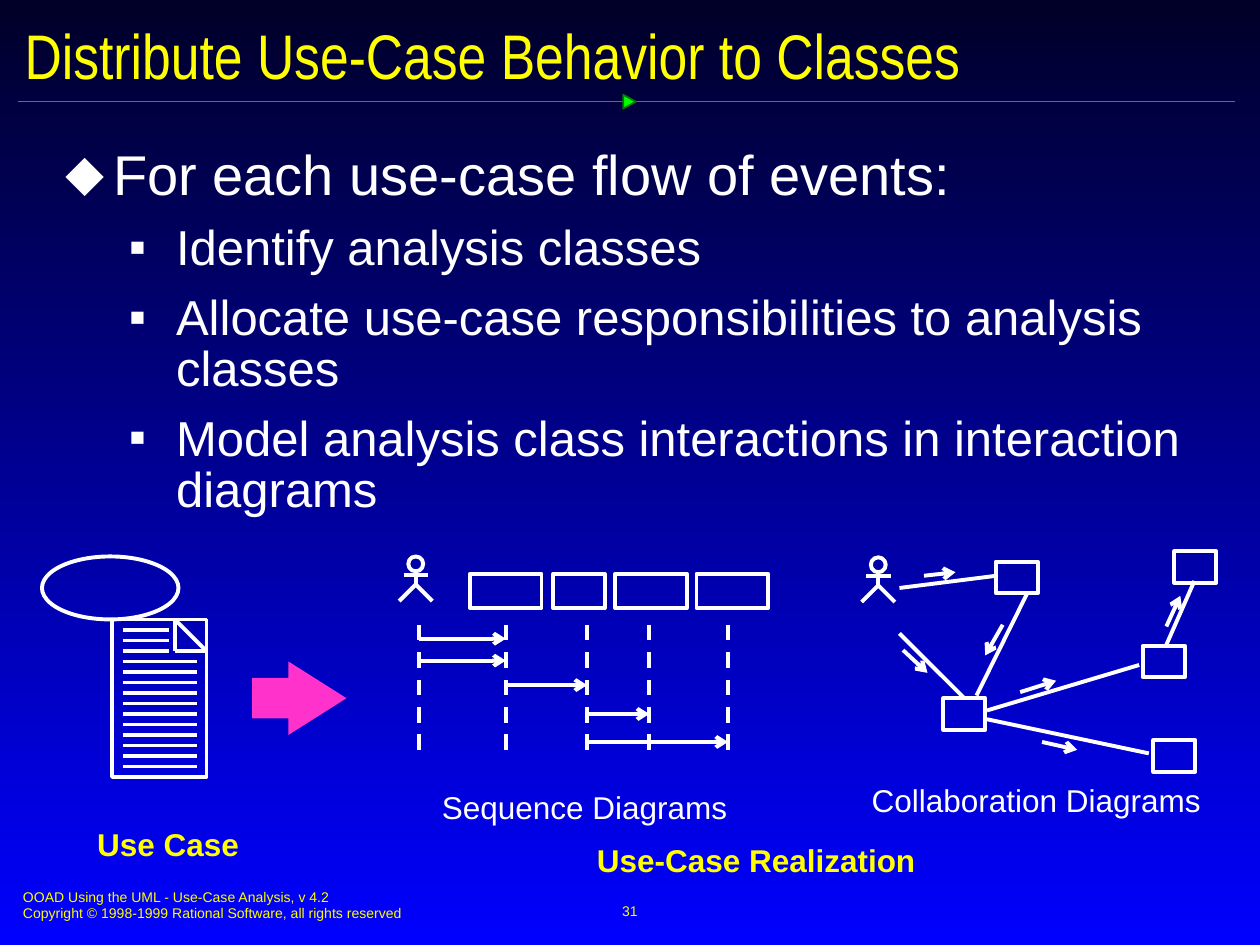
from dataclasses import dataclass

from lxml import etree
from pptx import Presentation
from pptx.dml.color import RGBColor
from pptx.enum import dml, shapes, text
from pptx.oxml.ns import qn
from pptx.util import Pt


@dataclass(frozen=True)
class Theme:
    white: str = "FFFFFF"
    yellow: str = "FFFF00"
    rule: str = "FF01FF"
    marker: str = "00FF00"
    marker_edge: str = "037C03"
    arrow: str = "FF33CC"
    sky_top: str = "000028"
    sky_bottom: str = "0000FF"
    font: str = "Arial"
    title_font: str = "Arial Narrow"
    title: int = 36
    point: int = 32
    subpoint: int = 28
    label: int = 18
    footer: int = 8
    stroke: float = 2.25


THEME = Theme()
FORM = shapes.MSO_SHAPE
ALIGN = text.PP_ALIGN


def rgb(color):
    return RGBColor.from_string(color)


def paint_background(slide):
    fill = slide.background.fill
    fill.gradient()
    fill.gradient_angle = 270  # counter-clockwise: dark at the top
    for stop, color in zip(fill.gradient_stops, (THEME.sky_top, THEME.sky_bottom)):
        stop.color.rgb = rgb(color)
    fill.gradient_stops[0].position = 0
    fill.gradient_stops[1].position = 1


def style_shape(item, fill=None, edge=THEME.white, stroke=THEME.stroke):
    item.shadow.inherit = False
    if fill:
        item.fill.solid()
        item.fill.fore_color.rgb = rgb(fill)
    else:
        item.fill.background()
    if edge:
        item.line.color.rgb = rgb(edge)
        item.line.width = Pt(stroke)
    else:
        item.line.fill.background()


def add_form(slide, form, left, top, width, height, **style):
    item = slide.shapes.add_shape(form, Pt(left), Pt(top), Pt(width), Pt(height))
    style_shape(item, **style)
    return item


def add_line(slide, x1, y1, x2, y2, color=THEME.white, stroke=THEME.stroke,
             dashed=False, arrow=False):
    line = slide.shapes.add_connector(
        shapes.MSO_CONNECTOR.STRAIGHT, Pt(x1), Pt(y1), Pt(x2), Pt(y2))
    line.line.color.rgb = rgb(color)
    line.line.width = Pt(stroke)
    if dashed:
        line.line.dash_style = dml.MSO_LINE.DASH
    if arrow:
        etree.SubElement(line.line._get_or_add_ln(), qn("a:tailEnd"), type="arrow")
    etree.SubElement(line._element.spPr, qn("a:effectLst"))


def add_run(paragraph, words, size, color, font=THEME.font, bold=False):
    run = paragraph.add_run()
    run.text = words
    run.font.name = font
    run.font.size = Pt(size)
    run.font.bold = bold
    run.font.color.rgb = rgb(color)


def add_frame(slide, left, top, width, height, inset=(7.2, 3.6), middle=False):
    box = slide.shapes.add_textbox(Pt(left), Pt(top), Pt(width), Pt(height))
    frame = box.text_frame
    frame.word_wrap = True
    frame.margin_left = frame.margin_right = Pt(inset[0])
    frame.margin_top = frame.margin_bottom = Pt(inset[1])
    if middle:
        frame.vertical_anchor = text.MSO_ANCHOR.MIDDLE
    return frame


def add_label(slide, place, lines, size, color, align=ALIGN.LEFT,
              middle=False, **style):
    frame = add_frame(slide, *place, middle=middle)
    for index, words in enumerate(lines):
        paragraph = frame.add_paragraph() if index else frame.paragraphs[0]
        paragraph.alignment = align
        add_run(paragraph, words, size, color, **style)


def add_bullet(paragraph, mark, margin, hanging):
    props = paragraph._p.get_or_add_pPr()
    props.set("marL", str(Pt(margin)))
    props.set("indent", str(-Pt(hanging)))
    tint = etree.SubElement(props, qn("a:buClr"))
    etree.SubElement(tint, qn("a:srgbClr"), val=THEME.white)
    etree.SubElement(props, qn("a:buFont"), typeface=THEME.font)
    etree.SubElement(props, qn("a:buChar"), char=mark)


def add_outline(slide, point, subpoints):
    frame = add_frame(slide, 29, 83, 669, 397, inset=(8.64, 4.32))
    heading = frame.paragraphs[0]
    add_bullet(heading, "⬥", 27, 27)
    heading.line_spacing = 0.8
    add_run(heading, point, THEME.point, THEME.white)
    for words in subpoints:
        paragraph = frame.add_paragraph()
        paragraph.level = 1
        add_bullet(paragraph, "▪", 63, 27)
        paragraph.line_spacing = 0.87
        paragraph.space_before = Pt(10.5)
        add_run(paragraph, words, THEME.subpoint, THEME.white)


def add_actor(slide, center, top):
    add_form(slide, FORM.OVAL, center - 4.25, top, 8.5, 8.5)
    add_line(slide, center, top + 8.5, center, top + 16)
    add_line(slide, center - 7, top + 10.5, center + 7, top + 10.5)
    pen = slide.shapes.build_freeform(Pt(center - 9.5), Pt(top + 25.5))
    pen.add_line_segments([(Pt(center), Pt(top + 16)),
                           (Pt(center + 9.5), Pt(top + 25.5))], close=False)
    style_shape(pen.convert_to_shape())


def add_use_case(slide):
    add_form(slide, FORM.OVAL, 24, 318, 78, 36)
    add_form(slide, FORM.RECTANGLE, 64, 354, 54, 90)
    # Folded page corner
    for fold in ((100, 354, 118, 372), (100, 354, 100, 372), (118, 372, 100, 372)):
        add_line(slide, *fold)
    # Written lines, short beside the fold
    for y in range(360, 439, 6):
        add_line(slide, 70.5, y, 96.5 if y <= 372 else 112.5, y)


def add_sequence_diagram(slide):
    add_actor(slide, 237.6, 318)
    for left, width in ((268.5, 41), (316, 29.5), (351.5, 41), (398, 41)):
        add_form(slide, FORM.RECTANGLE, left, 328, width, 19.5)
    lifelines = (239.5, 289, 335.5, 371, 416)
    for x in lifelines:
        add_line(slide, x, 357, x, 433, dashed=True)
    for sender, receiver, y in ((0, 1, 365), (0, 1, 377.5), (1, 2, 391.5),
                                (2, 3, 408), (2, 4, 424)):
        add_line(slide, lifelines[sender], y, lifelines[receiver], y, arrow=True)


def add_collaboration_diagram(slide):
    add_actor(slide, 501.9, 318.5)
    links = ((514, 362, 551, 399), (514, 336, 569.5, 329),
             (564, 411, 656.5, 430.5), (564, 406, 651, 380),
             (666.5, 368.5, 682.5, 332), (587, 339, 558, 397.5))
    messages = ((516, 371.5, 530, 384.5), (573, 357, 563, 374.5),
                (583, 395.5, 603.5, 389), (595.5, 424, 615.5, 428.5),
                (666.5, 358, 674.5, 340.5), (528, 329, 546, 327))
    for link in links:
        add_line(slide, *link)
    for message in messages:
        add_line(slide, *message, arrow=True)
    for left, top in ((569, 321), (539, 399), (659, 423), (653, 369), (671, 315)):
        add_form(slide, FORM.RECTANGLE, left, top, 24, 18)


def main():
    deck = Presentation()
    deck.slide_width, deck.slide_height = Pt(720), Pt(540)
    slide = deck.slides.add_slide(deck.slide_layouts[6])
    paint_background(slide)

    # Title and rule
    add_label(slide, (7, 10, 708.5, 42), ["Distribute Use-Case Behavior to Classes"],
              THEME.title, THEME.yellow, middle=True, font=THEME.title_font)
    add_line(slide, 10.5, 58, 706, 58, color=THEME.rule, stroke=1)
    marker = add_form(slide, FORM.ISOSCELES_TRIANGLE, 355.7, 54.5, 8, 7.2,
                      fill=THEME.marker, edge=THEME.marker_edge, stroke=1)
    marker.rotation = 90

    # Outline
    add_outline(slide, "For each use-case flow of events:", [
        "Identify analysis classes",
        "Allocate use-case responsibilities to analysis classes",
        "Model analysis class interactions in interaction diagrams"])

    # From use case to its realization
    add_use_case(slide)
    becomes = add_form(slide, FORM.RIGHT_ARROW, 144, 378, 54, 42,
                       fill=THEME.arrow, edge=None)
    becomes.adjustments[0], becomes.adjustments[1] = 0.55, 0.79
    add_sequence_diagram(slide)
    add_collaboration_diagram(slide)

    # Captions
    for words, place, color, align, bold in (
            ("Use Case", (24, 468, 144, 29), THEME.yellow, ALIGN.CENTER, True),
            ("Use-Case Realization", (334, 477, 210, 29), THEME.yellow, ALIGN.LEFT, True),
            ("Sequence Diagrams", (230.5, 447, 207, 29), THEME.white, ALIGN.CENTER, False),
            ("Collaboration Diagrams", (491, 443, 207, 29), THEME.white, ALIGN.LEFT, False)):
        add_label(slide, place, [words], THEME.label, color, align, bold=bold)

    # Footer
    add_label(slide, (6, 504, 367, 27), [
        "OOAD Using the UML - Use-Case Analysis, v 4.2",
        "Copyright © 1998-1999 Rational Software, all rights reserved"],
        THEME.footer, THEME.yellow)
    add_label(slide, (246, 502.5, 228, 36), ["31"], THEME.footer, THEME.yellow,
              ALIGN.CENTER, middle=True)

    deck.save("out.pptx")


if __name__ == "__main__":
    main()
